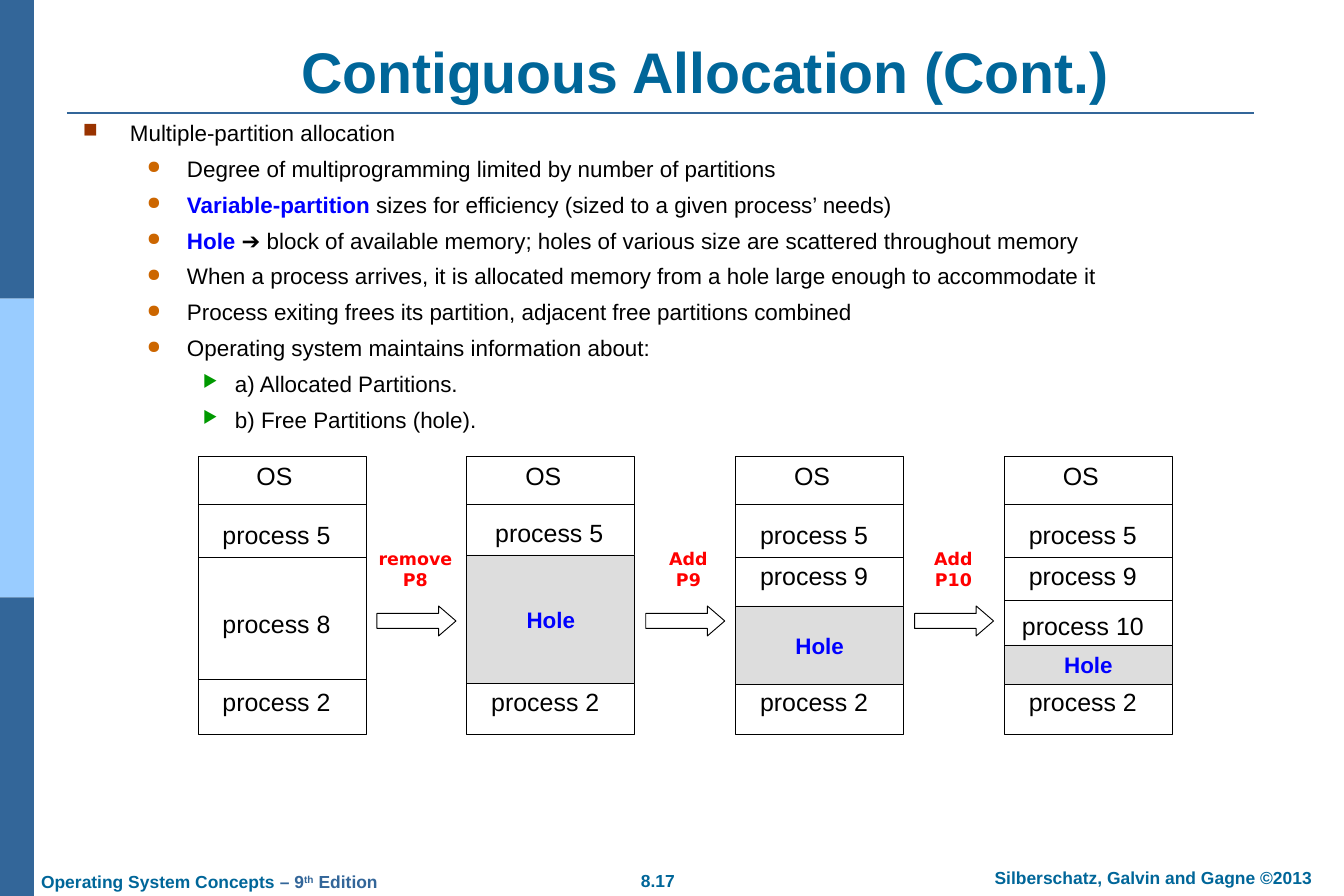
from lxml.etree import SubElement
from pptx import Presentation
from pptx.dml.color import RGBColor
from pptx.enum.shapes import MSO_CONNECTOR, MSO_SHAPE
from pptx.enum.text import MSO_ANCHOR, PP_ALIGN
from pptx.oxml.ns import qn
from pptx.util import Pt

PX = 914400 / 89.6  # EMU in one px
WIDE, HIGH = 1344, 896

TEAL, NAVY, SKY = "006699", "336699", "99CCFF"
BLACK, WHITE, GREY, BLUE, RED = "000000", "FFFFFF", "DDDDDD", "0000FF", "FF0000"

HEAD = {"name": "Arial", "size": Pt(46), "bold": True, "color": TEAL}
FOOT = {**HEAD, "size": Pt(14)}
EDITION = {**FOOT, "color": NAVY}
BODY = {"name": "Arial", "size": Pt(18), "bold": False, "color": BLACK}
TERM = {**BODY, "bold": True, "color": BLUE}
LABEL = {**BODY, "size": Pt(20)}
STEP = {"name": "DejaVu Sans", "size": Pt(14), "bold": True, "color": RED}

TITLE = "Contiguous Allocation (Cont.)"
# level: left margin, hanging indent, sign, colour, size in percent
LEVELS = [
    (47, 47, "■", "993300", 90),
    (104, 40, "●", "CC6600", 80),
    (152, 32, "▶", "009900", 75),
]
# level, highlighted term, rest of the line
POINTS = [
    (0, "", "Multiple-partition allocation"),
    (1, "", "Degree of multiprogramming limited by number of partitions"),
    (1, "Variable-partition ", "sizes for efficiency (sized to a given process’ needs)"),
    (1, "Hole ", "➔ block of available memory; holes of various size are scattered throughout memory"),
    (1, "", "When a process arrives, it is allocated memory from a hole large enough to accommodate it"),
    (1, "", "Process exiting frees its partition, adjacent free partitions combined"),
    (1, "", "Operating system maintains information about:"),
    (2, "", "a) Allocated Partitions."),
    (2, "", "b) Free Partitions (hole)."),
]
# Each memory state: divider tops, labels (text, shift, top), hole (top, height)
OS, P5, P9, P2 = ("OS", -2, 454), ("process 5", 0, 513), ("process 9", 0, 554), ("process 2", 0, 680)
STATES = [
    ([504, 557, 679], [OS, P5, ("process 8", 0, 602), P2], None),
    ([504], [OS, ("process 5", 4, 511), P2], (555, 129)),
    ([504, 557], [OS, P5, P9, P2], (606, 79)),
    ([504, 557, 600], [OS, P5, P9, ("process 10", 0, 604), P2], (645, 40)),
]
STEPS = [("remove", "P8", 366), ("Add", "P9", 639), ("Add", "P10", 904)]
LEFT, PITCH, TOP, BOX_W, BOX_H = 198, 268.8, 456, 168, 278
FOOTERS = [
    (28, 865, 400, PP_ALIGN.LEFT, [("Operating System Concepts", FOOT), (" – 9", EDITION),
                                   ("th", {**EDITION, "base": 30}), (" Edition", EDITION)]),
    (627, 864, 62, PP_ALIGN.CENTER, [("8.17", FOOT)]),
    (964, 861, 379, PP_ALIGN.CENTER, [("Silberschatz, Galvin and Gagne ©2013", FOOT)]),
]

deck = Presentation()
deck.slide_width, deck.slide_height = round(WIDE * PX), round(HIGH * PX)
shapes = deck.slides.add_slide(deck.slide_layouts[6]).shapes


def emu(*sizes):
    return [round(size * PX) for size in sizes]


def rgb(code):
    return RGBColor.from_string(code)


def write(frame, lines, align=PP_ALIGN.CENTER, anchor=MSO_ANCHOR.MIDDLE, pad=(13, 6)):
    """Fill a text frame with lines, each a list of (text, format) runs."""
    side, edge = emu(*pad)
    style = {"word_wrap": True, "vertical_anchor": anchor, "margin_left": side,
             "margin_right": side, "margin_top": edge, "margin_bottom": edge}
    for key, value in style.items():
        setattr(frame, key, value)
    for i, runs in enumerate(lines):
        para = frame.add_paragraph() if i else frame.paragraphs[0]
        para.alignment = align
        for text, form in runs:
            run = para.add_run()
            run.text = text
            for key, value in form.items():
                if key == "color":
                    run.font.color.rgb = rgb(value)
                elif key == "base":
                    run.font._element.set("baseline", str(value * 1000))
                else:
                    setattr(run.font, key, value)


def text(box, lines, **style):
    frame = shapes.add_textbox(*emu(*box)).text_frame
    write(frame, lines, **style)
    return frame


def block(kind, box, fill, line=None):
    shape = shapes.add_shape(kind, *emu(*box))
    shape.shadow.inherit = False
    shape.fill.solid()
    shape.fill.fore_color.rgb = rgb(fill)
    if line:
        shape.line.color.rgb = rgb(line)
        shape.line.width = Pt(0.75)
    else:
        shape.line.fill.background()
    return shape


def rule(left, right, top, color=BLACK, width=0.75):
    line = shapes.add_connector(MSO_CONNECTOR.STRAIGHT, *emu(left, top, right, top))
    line.line.color.rgb = rgb(color)
    line.line.width = Pt(width)
    SubElement(line._element.spPr, qn("a:effectLst"))


def bullet(para, level):
    margin, hang, sign, color, size = LEVELS[level]
    para.level = level
    props = para._p.get_or_add_pPr()
    props.set("marL", str(round(margin * PX)))
    props.set("indent", str(round(-hang * PX)))
    SubElement(SubElement(props, qn("a:buClr")), qn("a:srgbClr"), val=color)
    SubElement(props, qn("a:buSzPct"), val=str(size * 1000))
    SubElement(props, qn("a:buChar"), char=sign)


def frame_page():
    third = HIGH / 3
    for i, fill in enumerate([NAVY, SKY, NAVY]):
        block(MSO_SHAPE.RECTANGLE, (0, i * third, 34, third), fill)
    rule(67, 1254, 113, NAVY, 1.5)
    for left, top, width, align, runs in FOOTERS:
        text((left, top, width, 34), [runs], align=align)
    text((134, 36, 1142, 75), [[(TITLE, HEAD)]], anchor=MSO_ANCHOR.BOTTOM)


def list_points():
    lines = [[(part, form) for part, form in ((term, TERM), (rest, BODY)) if part]
             for _, term, rest in POINTS]
    frame = text((70, 113, 1182, 340), lines, align=PP_ALIGN.LEFT, anchor=MSO_ANCHOR.TOP)
    for i, (para, point) in enumerate(zip(frame.paragraphs, POINTS)):
        para.space_before = Pt(7.25 if i else 0)
        bullet(para, point[0])


def draw_states():
    for i, (cuts, labels, hole) in enumerate(STATES):
        left = LEFT + i * PITCH
        block(MSO_SHAPE.RECTANGLE, (left, TOP, BOX_W, BOX_H), WHITE, BLACK)
        for cut in cuts:
            rule(left, left + BOX_W, cut)
        if hole:
            top, height = hole
            shape = block(MSO_SHAPE.RECTANGLE, (left, top, BOX_W, height), GREY, BLACK)
            write(shape.text_frame, [[("Hole", TERM)]])
        for name, shift, top in labels:
            text((left + shift, top, 157, 43), [[(name, LABEL)]])


def draw_steps():
    for i, (verb, name, left) in enumerate(STEPS):
        arrow = block(MSO_SHAPE.RIGHT_ARROW, (377 + i * PITCH, 606, 79, 30), WHITE, BLACK)
        arrow.adjustments[1] = 0.58
        text((left, 544, 99, 51), [[(verb, STEP)], [(name, STEP)]], pad=(9, 4))


if __name__ == "__main__":
    frame_page()
    list_points()
    draw_states()
    draw_steps()
    deck.save("out.pptx")
